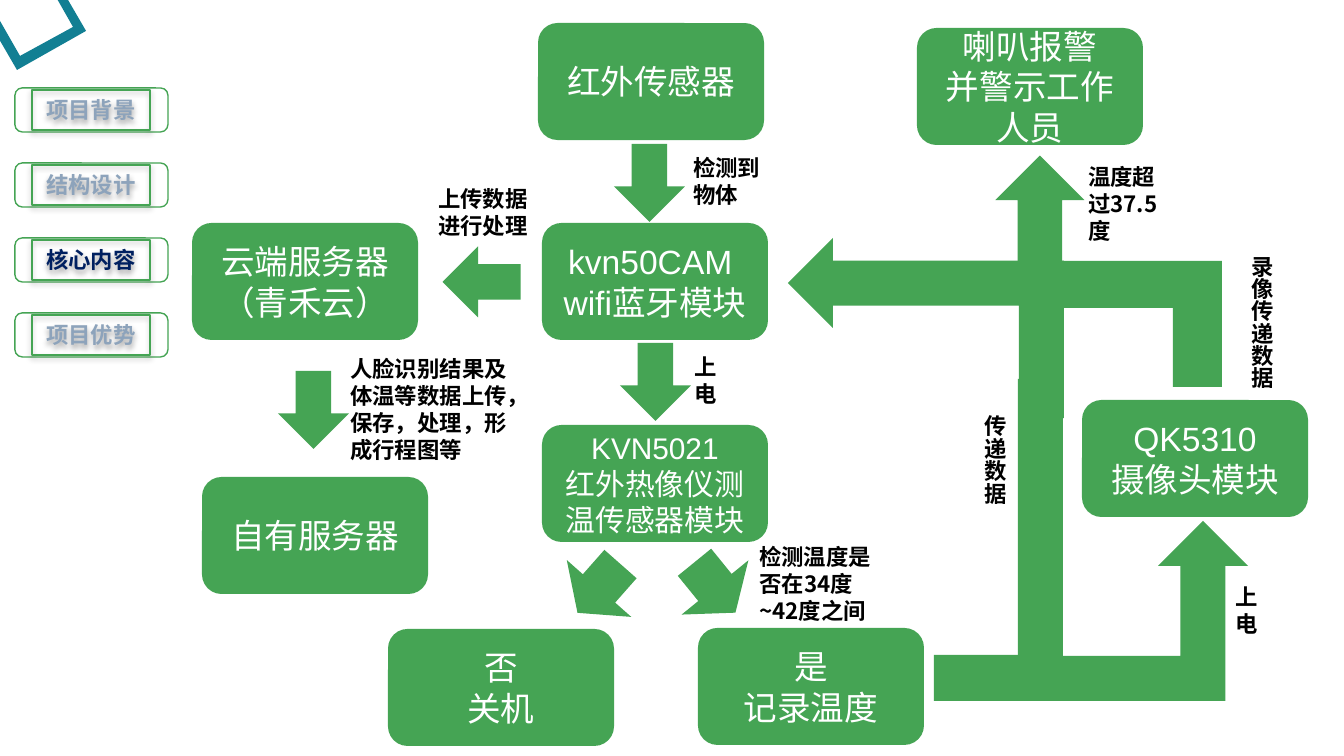
"""Build the flow slide of the infrared temperature checking system."""
import pptx
import pptx.dml.color
import pptx.enum.shapes
import pptx.enum.text
import pptx.oxml
import pptx.oxml.ns
import pptx.util

PX = 914400 / 134.4
SHAPE = pptx.enum.shapes.MSO_SHAPE
ALIGN = pptx.enum.text.PP_ALIGN
ANCHOR = pptx.enum.text.MSO_ANCHOR
COLORS = {
    "green": "45A454",
    "teal": "127F93",
    "white": "FFFFFF",
    "black": "000000",
    "muted": "8DA3BB",
    "navy": "002060",
}
NOTO = "Noto Sans CJK SC"
BOX_W, BOX_H = 226, 117
ARROW_W, ARROW_H = 71, 78
NAV_TOP, NAV_STEP = 88, 75

NAV = ["项目背景", "结构设计", "核心内容", "项目优势"]
CURRENT = "核心内容"

BOXES = [
    (538, 23, "红外传感器", 18),
    (542, 223, "kvn50CAM \nwifi蓝牙模块", 18),
    (542, 425, "KVN5021\n红外热像仪测温传感器模块", 16),
    (388, 629, "否\n关机", 18),
    (698, 628, "是\n记录温度", 18),
    (192, 223, "云端服务器\n（青禾云）", 18),
    (202, 477, "自有服务器", 18),
    (1082, 400, "QK5310\n摄像头模块", 18),
    (917, 28, "喇叭报警\n并警示工作人员", 18),
]

ARROWS = [
    (SHAPE.DOWN_ARROW, 614, 144, ARROW_W, ARROW_H, 0),
    (SHAPE.DOWN_ARROW, 620, 343, ARROW_W, ARROW_H, 0),
    (SHAPE.DOWN_ARROW, 278, 371, ARROW_W, ARROW_H, 0),
    (SHAPE.DOWN_ARROW, 446, 243, ARROW_W, ARROW_H, 90),
    (SHAPE.DOWN_ARROW, 556, 556, 86, 65, 41.4),
    (SHAPE.DOWN_ARROW, 672, 555, 86, 65, 320.9),
    (SHAPE.BENT_UP_ARROW, 836, 190, 180, 276, 270),
    (SHAPE.BENT_UP_ARROW, 1056, 521, 192, 180, 0),
    (SHAPE.RIGHT_ARROW, 986, 165, 108, 89, 270),
]

BARS = [
    (1018, 379, 45, 314),
    (1056, 261, 166, 47),
    (1173, 305, 49, 82),
    (934, 655, 129, 46),
]

LABELS = [
    (680, 148, 103, 67, "检测到物体", "Calibri"),
    (681, 347, 65, 67, "上电", "Calibri"),
    (746, 536, 141, 95, "检测温度是否在34度~42度之间", NOTO),
    (425, 179, 138, 67, "上传数据进行处理", "Calibri"),
    (1222, 577, 65, 67, "上电", "Calibri"),
    (1075, 156, 103, 95, "温度超过37.5度", NOTO),
    (337, 349, 184, 122, "人脸识别结果及体温等数据上传，保存，处理，形成行程图等", "Calibri"),
]

VERTICAL_LABELS = [
    (961, 402, 54, 175, "传递数据", "Calibri"),
    (1228, 242, 54, 175, "录像传递数据", "Calibri"),
]


def px(*values):
    return [pptx.util.Emu(round(v * PX)) for v in values]


def rgb(name):
    return pptx.dml.color.RGBColor.from_string(COLORS[name])


def write(sp, text, *, size=12, font="Calibri", color="black", bold=False,
          align=ALIGN.LEFT, anchor=ANCHOR.TOP, wrap=True, spacing=None):
    tf = sp.text_frame
    tf.word_wrap = wrap
    tf.vertical_anchor = anchor
    for i, line in enumerate(text.split("\n")):
        p = tf.add_paragraph() if i else tf.paragraphs[0]
        p.alignment = align
        p.line_spacing = spacing
        r = p.add_run()
        r.text = line
        r.font.size = pptx.util.Pt(size)
        r.font.name = font
        r.font.bold = bold
        r.font.color.rgb = rgb(color)
        ea = pptx.oxml.parse_xml(
            f'<a:ea {pptx.oxml.ns.nsdecls("a")} typeface="{font}"/>')
        r.font._element.find(pptx.oxml.ns.qn("a:latin")).addnext(ea)


def add_solid(s, kind, x, y, w, h, rotation=0):
    sp = s.shapes.add_shape(kind, *px(x, y, w, h))
    sp.shadow.inherit = False
    sp.fill.solid()
    sp.fill.fore_color.rgb = rgb("green")
    sp.line.fill.background()
    sp.rotation = rotation
    return sp


def add_outline(s, kind, x, y, w, h):
    sp = s.shapes.add_shape(kind, *px(x, y, w, h))
    sp.shadow.inherit = False
    sp.fill.background()
    sp.line.color.rgb = rgb("green")
    sp.line.width = pptx.util.Pt(0.75)
    return sp


def add_shadow(sp):
    effects = sp._element.spPr.find(pptx.oxml.ns.qn("a:effectLst"))
    effects.append(pptx.oxml.parse_xml(
        f'<a:outerShdw {pptx.oxml.ns.nsdecls("a")} blurRad="39370" dist="22860" '
        f'dir="5400000" rotWithShape="0"><a:srgbClr val="{COLORS["black"]}">'
        '<a:alpha val="35000"/></a:srgbClr></a:outerShdw>'))


def add_nav_item(s, y, text):
    add_outline(s, SHAPE.ROUNDED_RECTANGLE, 15, y, 153, 44)
    sp = add_outline(s, SHAPE.RECTANGLE, 32, y + 2, 118, 40)
    add_shadow(sp)
    write(sp, text, color="navy" if text == CURRENT else "muted", bold=True,
          align=ALIGN.CENTER, anchor=ANCHOR.MIDDLE, wrap=False)


def add_box(s, x, y, text, size):
    sp = add_solid(s, SHAPE.ROUNDED_RECTANGLE, x, y, BOX_W, BOX_H)
    write(sp, text, size=size, font="Arial", color="white",
          align=ALIGN.CENTER, anchor=ANCHOR.MIDDLE)


def add_label(s, x, y, w, h, text, font, vertical=False):
    sp = s.shapes.add_textbox(*px(x, y, w, h))
    write(sp, text, font=font, bold=True,
          spacing=pptx.util.Pt(14.5) if font == NOTO else None)
    if vertical:
        sp.text_frame._txBody.bodyPr.set("vert", "eaVert")


def add_corner_frame(s):
    builder = s.shapes.build_freeform(-26, -4, scale=PX)
    builder.add_line_segments([(43, -43), (86, 31), (17, 70)])
    builder.move_to(-12, 0)
    builder.add_line_segments([(20, 56), (73, 27), (40, -31)])
    sp = builder.convert_to_shape()
    sp.shadow.inherit = False
    sp.fill.solid()
    sp.fill.fore_color.rgb = rgb("teal")
    sp.line.fill.background()


def main():
    prs = pptx.Presentation()
    prs.slide_width, prs.slide_height = px(1344, 756)
    s = prs.slides.add_slide(prs.slide_layouts[6])
    s.background.fill.solid()
    s.background.fill.fore_color.rgb = rgb("white")
    add_corner_frame(s)
    for i, text in enumerate(NAV):
        add_nav_item(s, NAV_TOP + i * NAV_STEP, text)
    for bar in BARS:
        add_solid(s, SHAPE.RECTANGLE, *bar)
    for arrow in ARROWS:
        add_solid(s, *arrow)
    for box in BOXES:
        add_box(s, *box)
    for label in LABELS:
        add_label(s, *label)
    for label in VERTICAL_LABELS:
        add_label(s, *label, vertical=True)
    prs.save("out.pptx")


if __name__ == "__main__":
    main()
